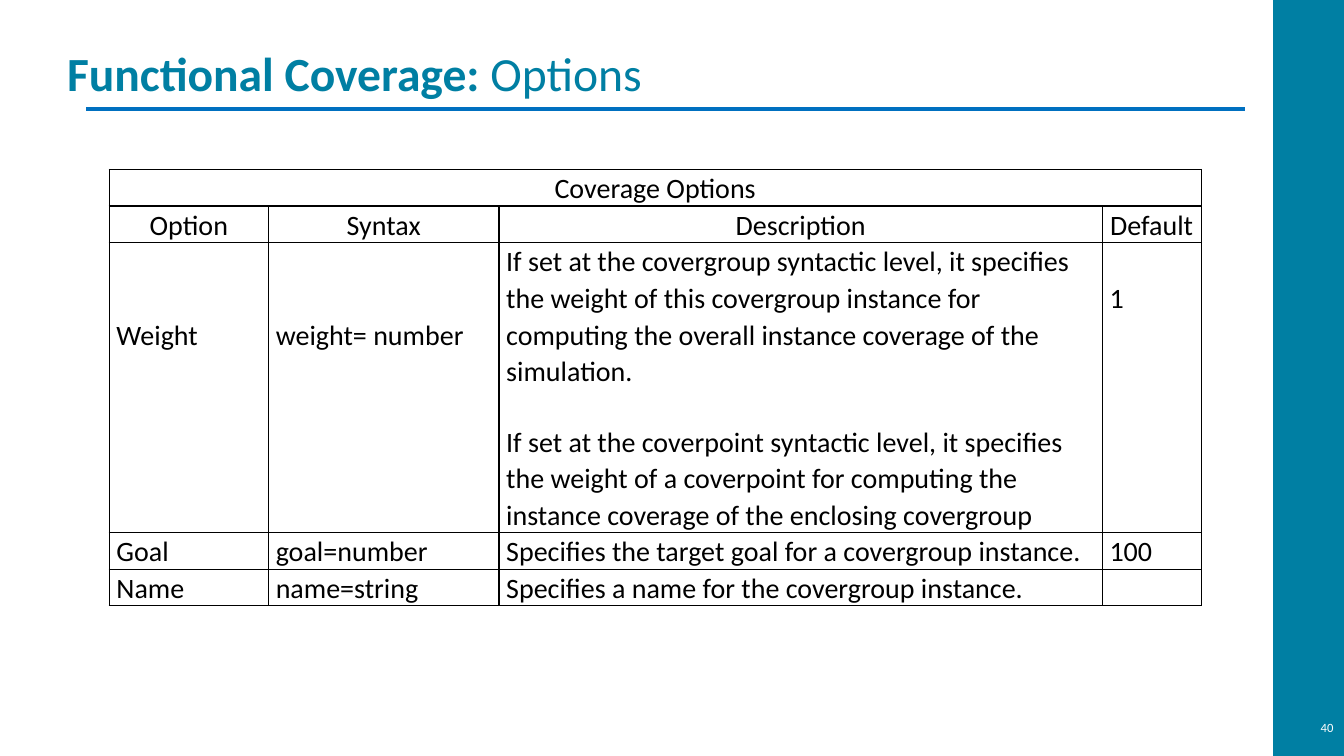
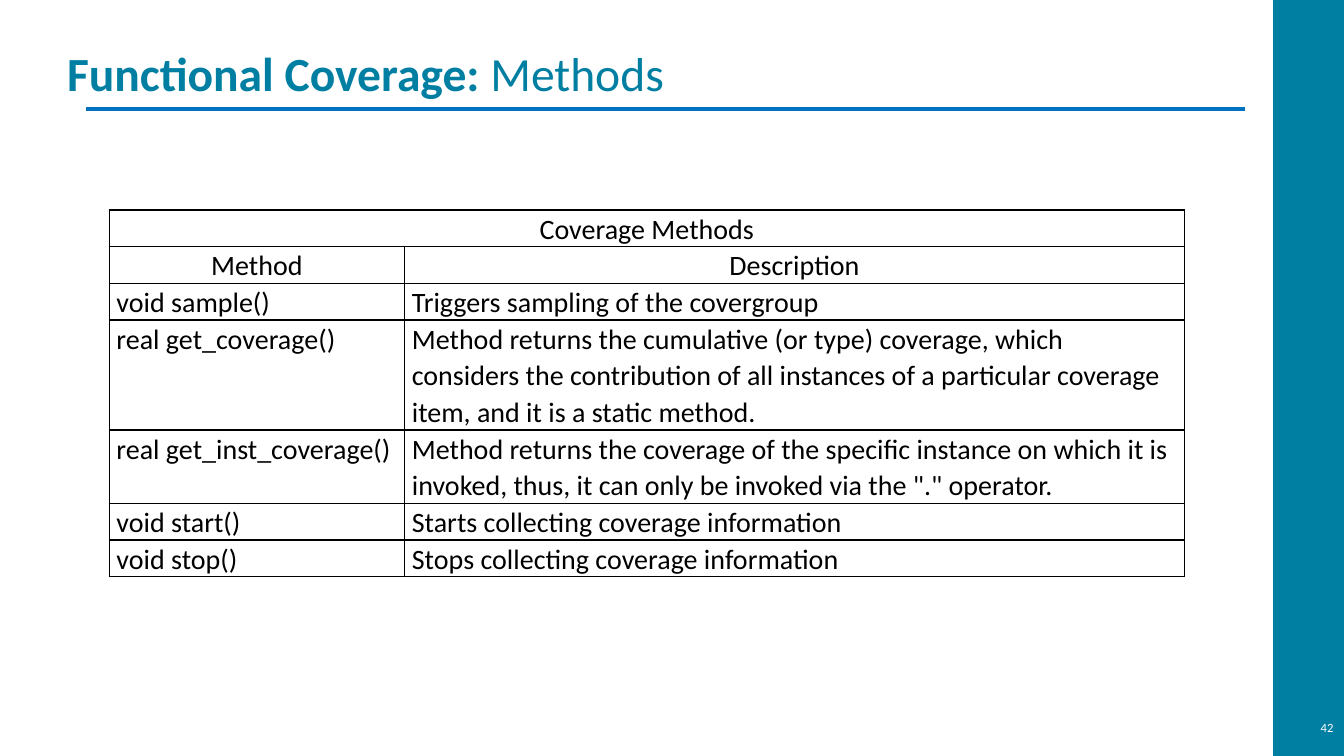
from dataclasses import dataclass

from lxml import etree
from pptx import Presentation
from pptx.dml.color import RGBColor
from pptx.enum import shapes, text
from pptx.oxml import ns
from pptx.util import Pt

FONT = "Calibri"
HEX = {"teal": "007FA3", "blue": "0070C0", "black": "000000", "white": "FFFFFF"}
LEFT, MID, RIGHT = text.PP_ALIGN.LEFT, text.PP_ALIGN.CENTER, text.PP_ALIGN.RIGHT
WIDE, HIGH = 960, 540
ROW = 26.2  # height of one table line


@dataclass
class Cell:
    lines: tuple[str, ...]
    drop: float = 0  # space above the text
    gap: float = 0  # space between paragraphs


@dataclass
class Grid:
    left: float
    top: float
    cols: tuple[float, ...]
    tall: dict[int, float]  # heights of rows that hold several lines
    name: str
    heads: tuple[str, ...]
    rows: tuple[tuple[str | Cell, ...], ...]


@dataclass
class Page:
    title: str
    num: int
    grid: Grid


PAGES = (
    Page("Options", 40, Grid(
        78, 121, (113.8, 164.6, 431, 70.6), {2: 207}, "Coverage Options",
        ("Option", "Syntax", "Description", "Default"),
        (
            (
                Cell(("Weight",), drop=2 * ROW),
                Cell(("weight= number",), drop=2 * ROW),
                Cell((
                    "If set at the covergroup syntactic level, it specifies the weight of this "
                    "covergroup instance for computing the overall instance coverage of the simulation.",
                    "If set at the coverpoint syntactic level, it specifies the weight of a "
                    "coverpoint for computing the instance coverage of the enclosing covergroup",
                ), gap=24),
                Cell(("1",), drop=ROW),
            ),
            ("Goal", "goal=number", "Specifies the target goal for a covergroup instance.", "100"),
            ("Name", "name=string", "Specifies a name for the covergroup instance.", ""),
        ),
    )),
    Page("Methods", 42, Grid(
        78, 150, (211, 557), {3: 3 * ROW, 4: 2 * ROW}, "Coverage Methods",
        ("Method", "Description"),
        (
            ("void sample()", "Triggers sampling of the covergroup"),
            ("real get_coverage()",
             "Method returns the cumulative (or type) coverage, which considers the contribution "
             "of all instances of a particular coverage item, and it is a static method."),
            ("real get_inst_coverage()",
             "Method returns the coverage of the specific instance on which it is invoked, thus, "
             'it can only be invoked via the "." operator.'),
            ("void start()", "Starts collecting coverage information"),
            ("void stop()", "Stops collecting coverage information"),
        ),
    )),
)


def tint(key: str) -> RGBColor:
    return RGBColor.from_string(HEX[key])


def write(para, words: str, *, size: float, color: str = "black",
          bold: bool = False, align=LEFT) -> None:
    """Add one formatted run to a paragraph."""
    para.alignment = align
    run = para.add_run()
    run.text = words
    font = run.font
    font.name, font.size, font.bold = FONT, Pt(size), bold
    font.color.rgb = tint(color)


def add_box(slide, left: float, top: float, wide: float, high: float, anchor):
    box = slide.shapes.add_textbox(Pt(left), Pt(top), Pt(wide), Pt(high))
    frame = box.text_frame
    frame.word_wrap = True
    frame.vertical_anchor = anchor
    return frame


def add_base(slide, page: Page) -> None:
    # Side band
    band = slide.shapes.add_shape(
        shapes.MSO_SHAPE.RECTANGLE, Pt(909.5), 0, Pt(WIDE - 909.5), Pt(HIGH))
    band.shadow.inherit = False
    band.fill.solid()
    band.fill.fore_color.rgb = tint("teal")
    band.line.fill.background()

    # Title rule
    rule = slide.shapes.add_connector(
        shapes.MSO_CONNECTOR.STRAIGHT, Pt(61.5), Pt(77.8), Pt(889), Pt(77.8))
    rule.line.color.rgb = tint("blue")
    rule.line.width = Pt(3)
    etree.SubElement(rule._element.spPr, ns.qn("a:effectLst"))

    # Title
    frame = add_box(slide, 48, 17.3, 864, 54.7, text.MSO_ANCHOR.BOTTOM)
    frame.margin_left = frame.margin_right = frame.margin_top = frame.margin_bottom = 0
    para = frame.paragraphs[0]
    write(para, "Functional Coverage: ", size=34, color="teal", bold=True)
    write(para, page.title, size=34, color="teal")

    # Page number
    frame = add_box(slide, 902, 508.5, 57.6, 21.6, text.MSO_ANCHOR.MIDDLE)
    write(frame.paragraphs[0], str(page.num), size=9, color="white", align=RIGHT)


def add_edges(cell) -> None:
    props = cell._tc.get_or_add_tcPr()
    for side in ("lnL", "lnR", "lnT", "lnB"):
        edge = etree.SubElement(props, ns.qn(f"a:{side}"), w=str(Pt(1)))
        fill = etree.SubElement(edge, ns.qn("a:solidFill"))
        etree.SubElement(fill, ns.qn("a:srgbClr"), val=HEX["black"])


def fill_cell(cell, item: str | Cell, align) -> None:
    if isinstance(item, str):
        item = Cell((item,))
    add_edges(cell)
    cell.fill.solid()
    cell.fill.fore_color.rgb = tint("white")
    cell.margin_left = cell.margin_right = Pt(5.2)
    cell.margin_top, cell.margin_bottom = Pt(item.drop), 0
    frame = cell.text_frame
    for i, line in enumerate(item.lines):
        para = frame.add_paragraph() if i else frame.paragraphs[0]
        para.line_spacing = 1.07
        if i:
            para.space_before = Pt(item.gap)
        if line:
            write(para, line, size=20, align=align)


def add_grid(slide, grid: Grid) -> None:
    span = len(grid.cols)
    rows = ((grid.name,) + ("",) * (span - 1), grid.heads, *grid.rows)
    highs = [grid.tall.get(r, ROW) for r in range(len(rows))]
    table = slide.shapes.add_table(
        len(rows), span, Pt(grid.left), Pt(grid.top),
        Pt(sum(grid.cols)), Pt(sum(highs))).table
    table.first_row = table.horz_banding = False
    for col, wide in zip(table.columns, grid.cols):
        col.width = Pt(wide)
    for r, row in enumerate(rows):
        table.rows[r].height = Pt(highs[r])
        for c, item in enumerate(row):
            fill_cell(table.cell(r, c), item, MID if r < 2 else LEFT)
    table.cell(0, 0).merge(table.cell(0, span - 1))


def main() -> None:
    deck = Presentation()
    deck.slide_width, deck.slide_height = Pt(WIDE), Pt(HIGH)
    for page in PAGES:
        slide = deck.slides.add_slide(deck.slide_layouts[6])
        add_base(slide, page)
        add_grid(slide, page.grid)
    deck.save("out.pptx")


if __name__ == "__main__":
    main()
